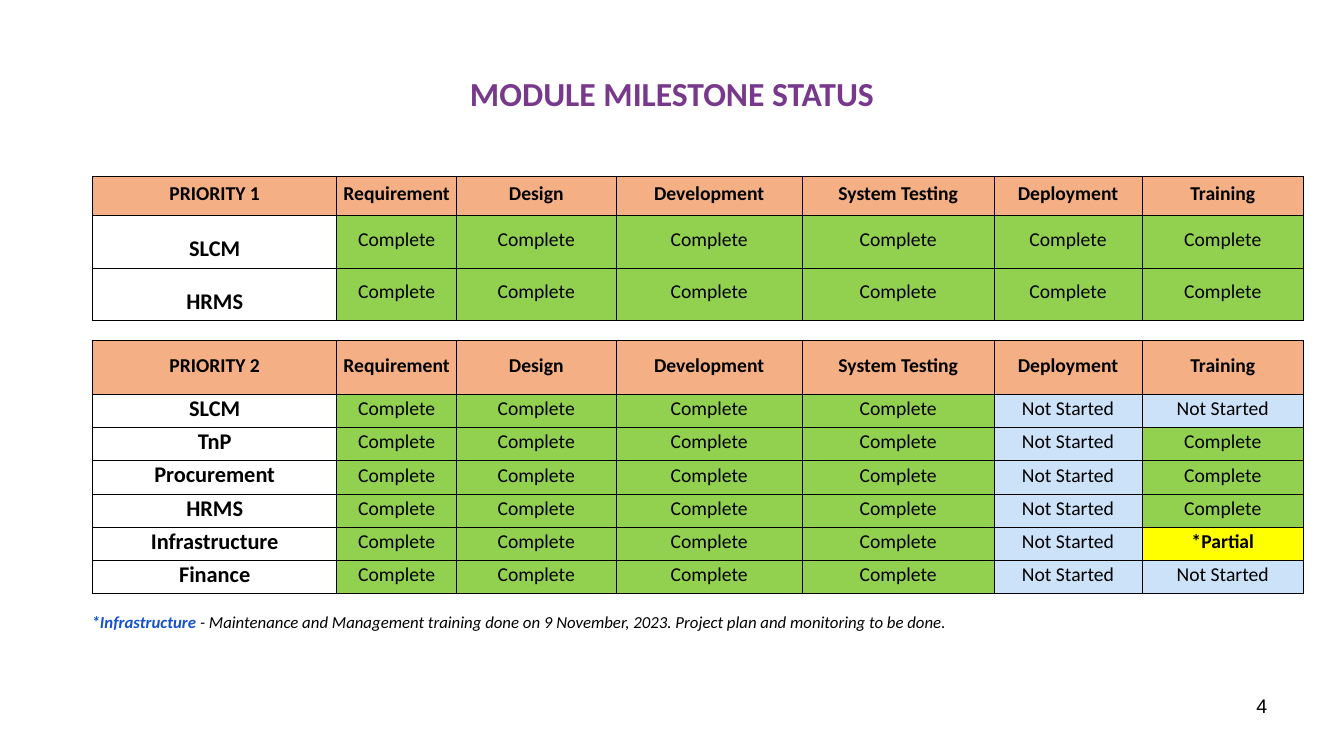
from dataclasses import dataclass

from lxml.etree import SubElement
from pptx import Presentation
from pptx.dml.color import RGBColor
from pptx.enum.text import MSO_ANCHOR, PP_ALIGN
from pptx.oxml.ns import qn
from pptx.util import Inches, Pt

WIDE, HIGH = Inches(13.33), Inches(7.5)
HUES = {
    "black": "000000",
    "white": "FFFFFF",
    "purple": "78398D",
    "blue": "1552D1",
    "head": "F4B084",
    "Complete": "92D050",
    "Not Started": "CBE2F9",
    "*Partial": "FFFF00",
}
STAGES = ["Requirement", "Design", "Development", "System Testing", "Deployment", "Training"]
COLS = [18.15, 8.93, 11.85, 13.88, 14.25, 11.03, 12]
LEFT = 6.9
DONE, WAIT, PART = "Complete", "Not Started", "*Partial"


@dataclass
class Box:
    left: float
    top: float
    width: float
    height: float


@dataclass
class Grid:
    title: str
    top: float
    head: float
    row: float
    items: dict[str, list[str]]


GRIDS = [
    Grid("PRIORITY 1", 23.33, 5.2, 6.93, {name: [DONE] * 6 for name in ("SLCM", "HRMS")}),
    Grid("PRIORITY 2", 45.07, 7.07, 4.4, {
        name: [DONE] * 4 + [WAIT, last]
        for name, last in {
            "SLCM": WAIT,
            "TnP": DONE,
            "Procurement": DONE,
            "HRMS": DONE,
            "Infrastructure": PART,
            "Finance": WAIT,
        }.items()
    }),
]


def across(share: float) -> int:
    return round(WIDE * share / 100)


def down(share: float) -> int:
    return round(HIGH * share / 100)


def hue(name: str) -> RGBColor:
    return RGBColor.from_string(HUES[name])


def place(box: Box) -> tuple[int, int, int, int]:
    return across(box.left), down(box.top), across(box.width), down(box.height)


def write(para, text: str, *, size: float = 14, color: str = "black", bold: bool = False,
          slant: bool = False, font: str = "Calibri", align=PP_ALIGN.CENTER) -> None:
    para.alignment = align
    run = para.add_run()
    run.text = text
    face = run.font
    face.name, face.size, face.bold, face.italic = font, Pt(size), bold, slant
    face.color.rgb = hue(color)


def label(slide, box: Box, anchor=MSO_ANCHOR.TOP):
    frame = slide.shapes.add_textbox(*place(box)).text_frame
    frame.word_wrap = True
    frame.vertical_anchor = anchor
    return frame.paragraphs[0]


def edge(cell) -> None:
    props = cell._tc.get_or_add_tcPr()
    for side in ("a:lnL", "a:lnR", "a:lnT", "a:lnB"):
        line = SubElement(props, qn(side), w=str(Pt(0.5)))
        fill = SubElement(line, qn("a:solidFill"))
        SubElement(fill, qn("a:srgbClr"), val=HUES["black"])


def paint(cell, text: str, fill: str, *, size: float = 14, bold: bool = False,
          anchor=MSO_ANCHOR.MIDDLE) -> None:
    cell.margin_left = cell.margin_right = cell.margin_top = Inches(0.01)
    cell.margin_bottom = Inches(0.05)
    cell.vertical_anchor = anchor
    edge(cell)
    cell.fill.solid()
    cell.fill.fore_color.rgb = hue(fill)
    write(cell.text_frame.paragraphs[0], text, size=size, bold=bold)


def draw(slide, grid: Grid) -> None:
    count = len(grid.items)
    box = Box(LEFT, grid.top, sum(COLS), grid.head + count * grid.row)
    table = slide.shapes.add_table(count + 1, len(COLS), *place(box)).table
    table.first_row = table.horz_banding = False
    for col, share in zip(table.columns, COLS):
        col.width = across(share)
    for row, share in zip(table.rows, [grid.head] + [grid.row] * count):
        row.height = down(share)
    for x, text in enumerate([grid.title] + STAGES):
        paint(table.cell(0, x), text, "head", bold=True)
    for y, (name, states) in enumerate(grid.items.items(), 1):
        paint(table.cell(y, 0), name, "white", size=16, bold=True, anchor=MSO_ANCHOR.BOTTOM)
        for x, state in enumerate(states, 1):
            paint(table.cell(y, x), state, state, bold=state == PART)


def main() -> None:
    deck = Presentation()
    deck.slide_width, deck.slide_height = WIDE, HIGH
    slide = deck.slides.add_slide(deck.slide_layouts[6])
    title = label(slide, Box(5, 4, 90, 16.67), MSO_ANCHOR.MIDDLE)
    write(title, "MODULE MILESTONE STATUS", size=24, color="purple", bold=True)
    for grid in GRIDS:
        draw(slide, grid)
    note = label(slide, Box(6.08, 80.27, 90.83, 11.87))
    write(note, "*Infrastructure", size=12, color="blue", bold=True, slant=True,
          align=PP_ALIGN.LEFT)
    write(note, " - Maintenance and Management training done on 9 November, 2023. "
          "Project plan and monitoring to be done.", size=12, slant=True, align=PP_ALIGN.LEFT)
    page = label(slide, Box(71.7, 91.07, 23.33, 6.93))
    write(page, "4", font="Arial", align=PP_ALIGN.RIGHT)
    deck.save("out.pptx")


if __name__ == "__main__":
    main()
